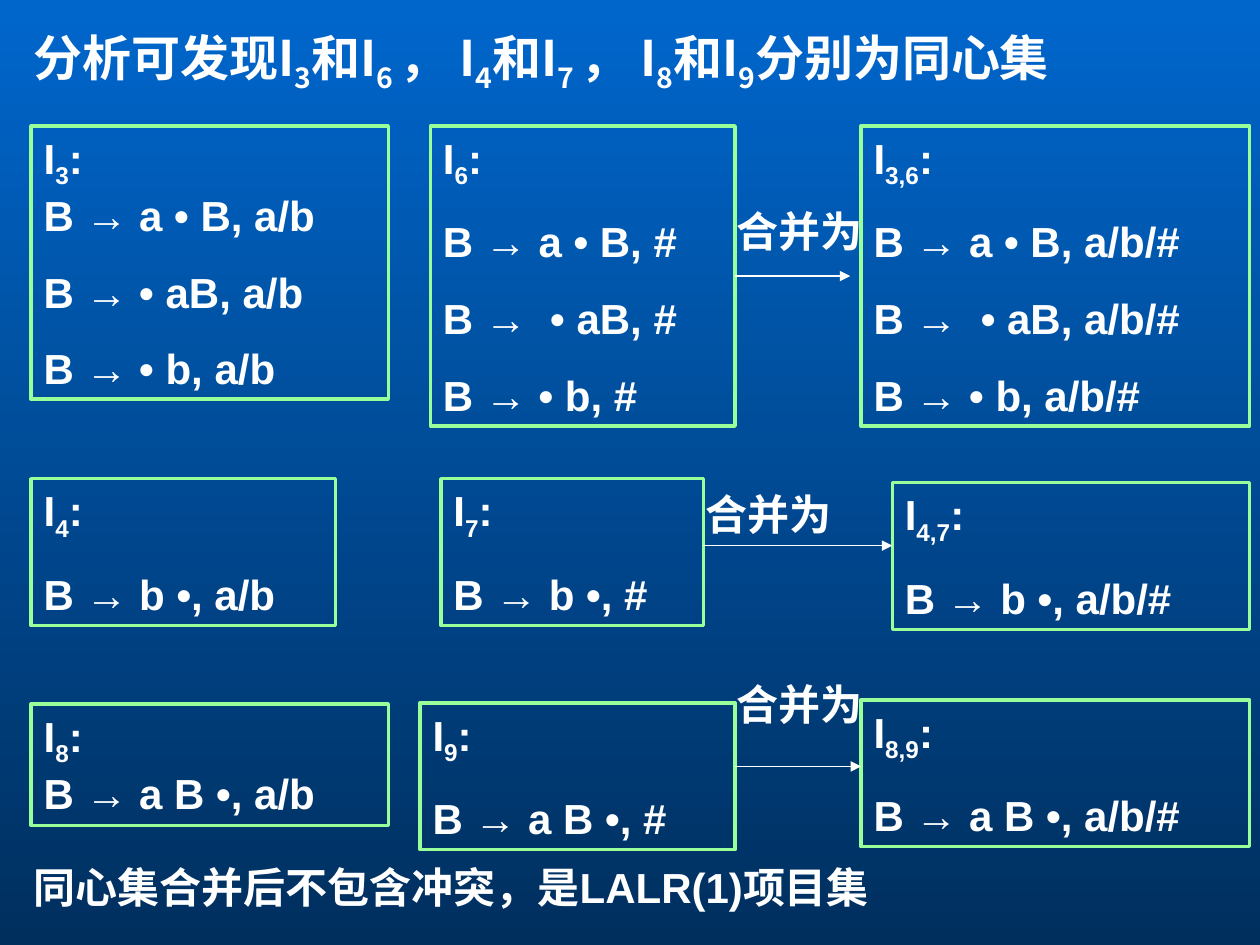
from lxml.etree import SubElement as Sub
from pptx import Presentation as Deck
from pptx.dml.color import RGBColor
from pptx.enum.shapes import MSO_CONNECTOR as Link, MSO_SHAPE as Form
from pptx.enum.text import MSO_ANCHOR as Anchor, MSO_AUTO_SIZE as Auto, PP_ALIGN as Align
from pptx.oxml.ns import qn
from pptx.util import Cm, Pt

WHITE = RGBColor(0xFF, 0xFF, 0xFF)
GREEN = RGBColor(0x99, 0xFF, 0x99)
BLUE = RGBColor(0x00, 0x66, 0xCC)
NAVY = RGBColor(0x00, 0x2F, 0x5E)
LATIN = "Arial"
HAN = "Noto Sans CJK SC"


def write(shape, lines, size=24, face=LATIN, gap=15, tight=False):
    frame = shape.text_frame
    frame.word_wrap = True
    frame.auto_size = Auto.SHAPE_TO_FIT_TEXT
    frame.vertical_anchor = Anchor.TOP
    for row, line in enumerate(lines):
        para = frame.add_paragraph() if row else frame.paragraphs[0]
        para.alignment = Align.LEFT
        if row:
            para.space_before = Pt(0 if tight and row == 1 else gap)
        font = para.font
        font.name, font.size, font.bold = face, Pt(size), True
        font.color.rgb = WHITE
        Sub(font._element, qn("a:ea"), typeface=HAN)
        for spot, text in enumerate(line.split("|")):
            run = para.add_run()
            run.text = text
            if spot % 2:
                run.font._element.set("baseline", "-25000")


def label(left, top, width, height, text, **style):
    box = slide.shapes.add_textbox(Cm(left), Cm(top), Cm(width), Cm(height))
    write(box, [text], **style)
    return box


deck = Deck()
deck.slide_width, deck.slide_height = Cm(25.4), Cm(19.05)
slide = deck.slides.add_slide(deck.slide_layouts[6])
fill = slide.background.fill
fill.gradient()
fill.gradient_angle = 270
for stop, color in zip(fill.gradient_stops, (BLUE, NAVY)):
    stop.color.rgb = color

label(0.43, 0.43, 24.13, 2.79,
      "分析可发现I|3|和I|6 |， I|4|和I|7 |， I|8|和I|9|分别为同心集",
      size=28, face=HAN)

shift = ["B → a • B, ", "B → • aB, ", "B → • b, "]
wide = ["B → a • B, ", "B →  • aB, ", "B → • b, "]
four = ["B → b •, "]
eight = ["B → a B •, "]
sets = [
    ("3", 0.63, 2.54, 7.2, 5.51, shift, "a/b", True),
    ("6", 8.68, 2.54, 6.14, 6.05, wide, "#", False),
    ("4", 0.63, 9.65, 6.14, 2.96, four, "a/b", False),
    ("7", 8.89, 9.65, 5.29, 2.96, four, "#", False),
    ("8", 0.63, 14.19, 7.2, 2.45, eight, "a/b", True),
    ("9", 8.47, 14.17, 6.35, 2.96, eight, "#", False),
    ("3,6", 17.36, 2.54, 7.83, 6.05, wide, "a/b/#", False),
    ("4,7", 17.99, 9.73, 7.2, 2.96, four, "a/b/#", False),
    ("8,9", 17.36, 14.11, 7.83, 2.96, eight, "a/b/#", False),
]
boxes = {}
for name, left, top, width, height, items, ahead, tight in sets:
    box = slide.shapes.add_shape(Form.RECTANGLE, Cm(left), Cm(top), Cm(width), Cm(height))
    box.shadow.inherit = False
    box.fill.background()
    box.line.color.rgb = GREEN
    box.line.width = Pt(2)
    write(box, [f"I|{name}|:"] + [item + ahead for item in items], tight=tight)
    boxes[name] = box

merges = [
    (14.82, 17.14, 5.56, 14.6, 4.02, 3.39, "6"),
    (14.18, 17.99, 11, 13.97, 9.73, 3.6, None),
    (14.82, 17.36, 15.45, 14.6, 13.55, 3.81, None),
]
for start, end, level, left, top, width, source in merges:
    arrow = slide.shapes.add_connector(Link.STRAIGHT, Cm(start), Cm(level), Cm(end), Cm(level))
    if source:
        arrow.begin_connect(boxes[source], 3)
        arrow.end_y = arrow.begin_y
    arrow.line.color.rgb = WHITE
    arrow.line.width = Pt(0.75)
    Sub(arrow.line._get_or_add_ln(), qn("a:tailEnd"), type="triangle")
    Sub(arrow._element.spPr, qn("a:effectLst"))
    label(left, top, width, 1.27, "合并为", face=HAN)

foot = label(0.43, 17.36, 21.59, 1.18, "同心集合并后不包含冲突，是LALR(1)项目集")
foot.text_frame.paragraphs[0].line_spacing = 0.9

deck.save("out.pptx")
